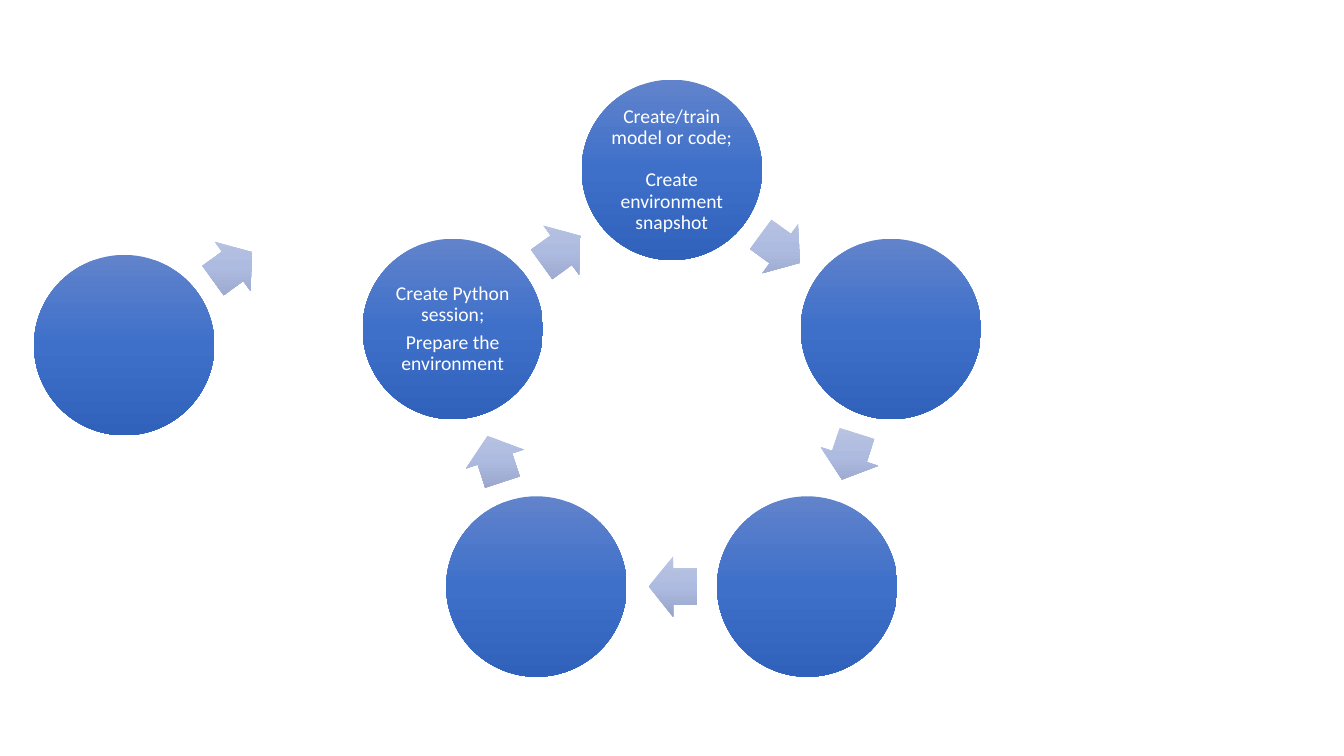
from copy import deepcopy
from dataclasses import dataclass
from math import cos, radians, sin

from pptx import Presentation
from pptx.dml.color import RGBColor
from pptx.enum.shapes import MSO_SHAPE
from pptx.enum.text import MSO_ANCHOR, PP_ALIGN
from pptx.oxml.ns import qn
from pptx.util import Inches, Pt

# Grid: square cells, a tenth of an inch wide and high
CELL = Inches(0.1)
COLUMNS, ROWS = 133.33, 75

# Ring geometry in cells and degrees clockwise from the top
CENTRE_COLUMN, CENTRE_ROW = 66.65, 39.7
RING_RADIUS = 22.85
STEP_ANGLE = 72
ARROW_RADIUS = RING_RADIUS * cos(radians(STEP_ANGLE / 2))
ARROW_LAG = 0.4
CIRCLE_SIZE = 17.9
LABEL_SIZE = 12.6
ARROW_LENGTH, ARROW_HEIGHT = 4.8, 6

CIRCLE_COLOURS = ("6183CB", "3E70CA", "3062BB")
ARROW_COLOURS = ("BBC5E3", "AEBBE0", "98A4CB")
TEXT_COLOUR = "FFFFFF"


@dataclass(frozen=True)
class Point:
    column: float
    row: float


@dataclass(frozen=True)
class Step:
    position: int
    lines: tuple[str, ...] = ()
    gap: float = 0  # points between the lines
    shift: Point = Point(0, 0)


STEPS = (
    Step(0, ("Create/train model or code;", "Create environment snapshot"), 15.4),
    Step(1),
    Step(2),
    Step(3),
    Step(4, ("Create Python session;", "Prepare the environment"), 5),
    Step(4, shift=Point(-32.6, 1.6)),  # loose step left of the ring
)


def colour(value: str) -> RGBColor:
    return RGBColor.from_string(value)


def ring_point(radius: float, angle: float, shift: Point) -> Point:
    return Point(
        CENTRE_COLUMN + radius * sin(radians(angle)) + shift.column,
        CENTRE_ROW - radius * cos(radians(angle)) + shift.row,
    )


def box(centre: Point, width: float, height: float) -> tuple[int, ...]:
    lengths = (centre.column - width / 2, centre.row - height / 2, width, height)
    return tuple(round(length * CELL) for length in lengths)


def fill_gradient(shape, colours: tuple[str, ...]) -> None:
    """Fill from top to bottom, whatever the rotation of the shape."""
    shape.fill.gradient()
    shape.fill.gradient_angle = 270
    gradient = shape._element.spPr.find(qn("a:gradFill"))
    gradient.set("rotWithShape", "0")
    stop_list = gradient.find(qn("a:gsLst"))
    stop_list.insert(1, deepcopy(stop_list[0]))
    for index, (stop, value) in enumerate(zip(shape.fill.gradient_stops, colours)):
        stop.position = index / (len(colours) - 1)
        stop.color.rgb = colour(value)


def add_gradient_shape(slide, kind, centre: Point, width: float, height: float,
                       colours: tuple[str, ...]):
    shape = slide.shapes.add_shape(kind, *box(centre, width, height))
    shape.shadow.inherit = False
    shape.line.fill.background()
    fill_gradient(shape, colours)
    return shape


def add_label(slide, centre: Point, step: Step) -> None:
    label = slide.shapes.add_textbox(*box(centre, LABEL_SIZE, LABEL_SIZE))
    frame = label.text_frame
    frame.word_wrap = True
    frame.vertical_anchor = MSO_ANCHOR.MIDDLE
    frame.margin_left = frame.margin_right = Inches(0.02)
    frame.margin_top = frame.margin_bottom = Inches(0.02)
    frame.text = "\n".join(step.lines)
    for index, paragraph in enumerate(frame.paragraphs):
        paragraph.alignment = PP_ALIGN.CENTER
        paragraph.line_spacing = 0.9
        paragraph.space_before = Pt(step.gap if index else 0)
        paragraph.font.name = "Calibri"
        paragraph.font.size = Pt(14)
        paragraph.font.color.rgb = colour(TEXT_COLOUR)


def add_step(slide, step: Step) -> None:
    angle = step.position * STEP_ANGLE
    # Circle and its text
    centre = ring_point(RING_RADIUS, angle, step.shift)
    add_gradient_shape(slide, MSO_SHAPE.OVAL, centre, CIRCLE_SIZE, CIRCLE_SIZE,
                       CIRCLE_COLOURS)
    if step.lines:
        add_label(slide, centre, step)

    # Arrow to the next step
    heading = angle + STEP_ANGLE / 2
    arrow = add_gradient_shape(
        slide, MSO_SHAPE.RIGHT_ARROW,
        ring_point(ARROW_RADIUS, heading - ARROW_LAG, step.shift),
        ARROW_LENGTH, ARROW_HEIGHT, ARROW_COLOURS,
    )
    arrow.adjustments[0] = 0.6
    arrow.adjustments[1] = 0.5
    arrow.rotation = heading


def main() -> None:
    presentation = Presentation()
    presentation.slide_width = round(COLUMNS * CELL)
    presentation.slide_height = ROWS * CELL
    slide = presentation.slides.add_slide(presentation.slide_layouts[6])
    for step in STEPS:
        add_step(slide, step)
    presentation.save("out.pptx")


if __name__ == "__main__":
    main()
